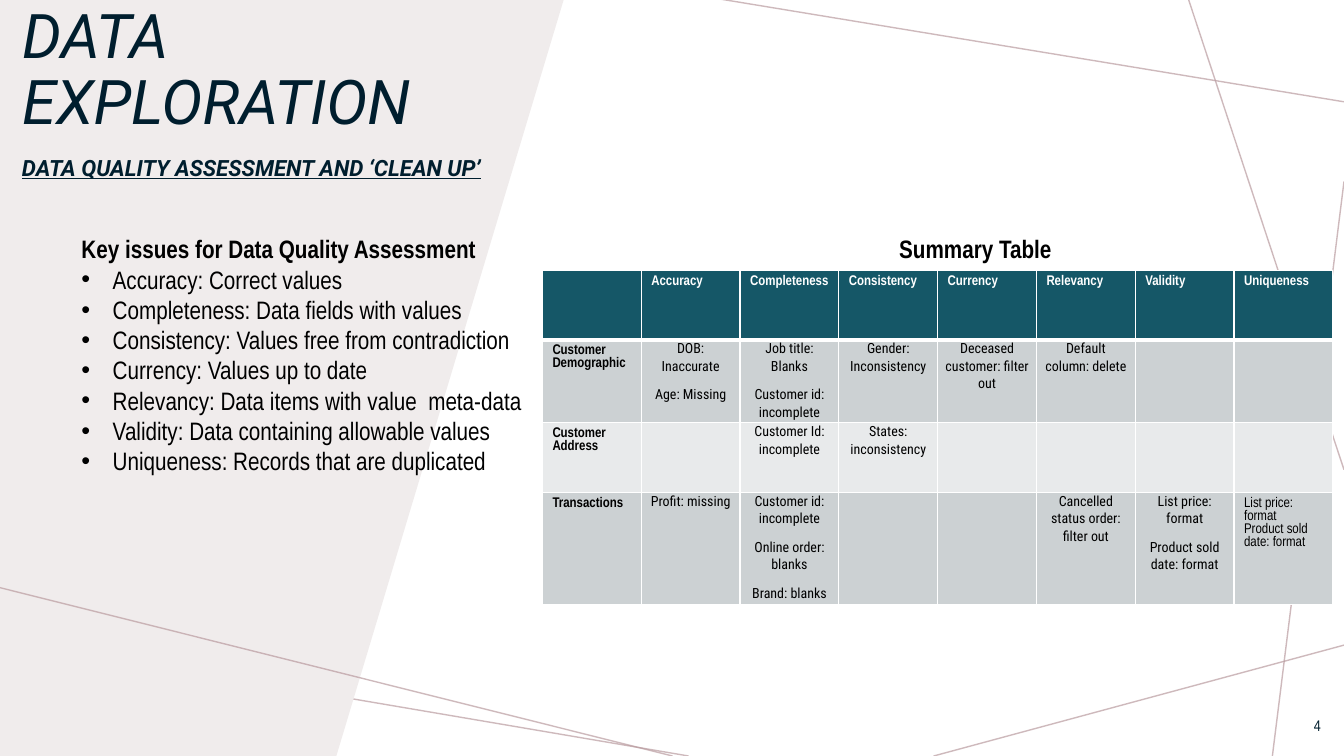
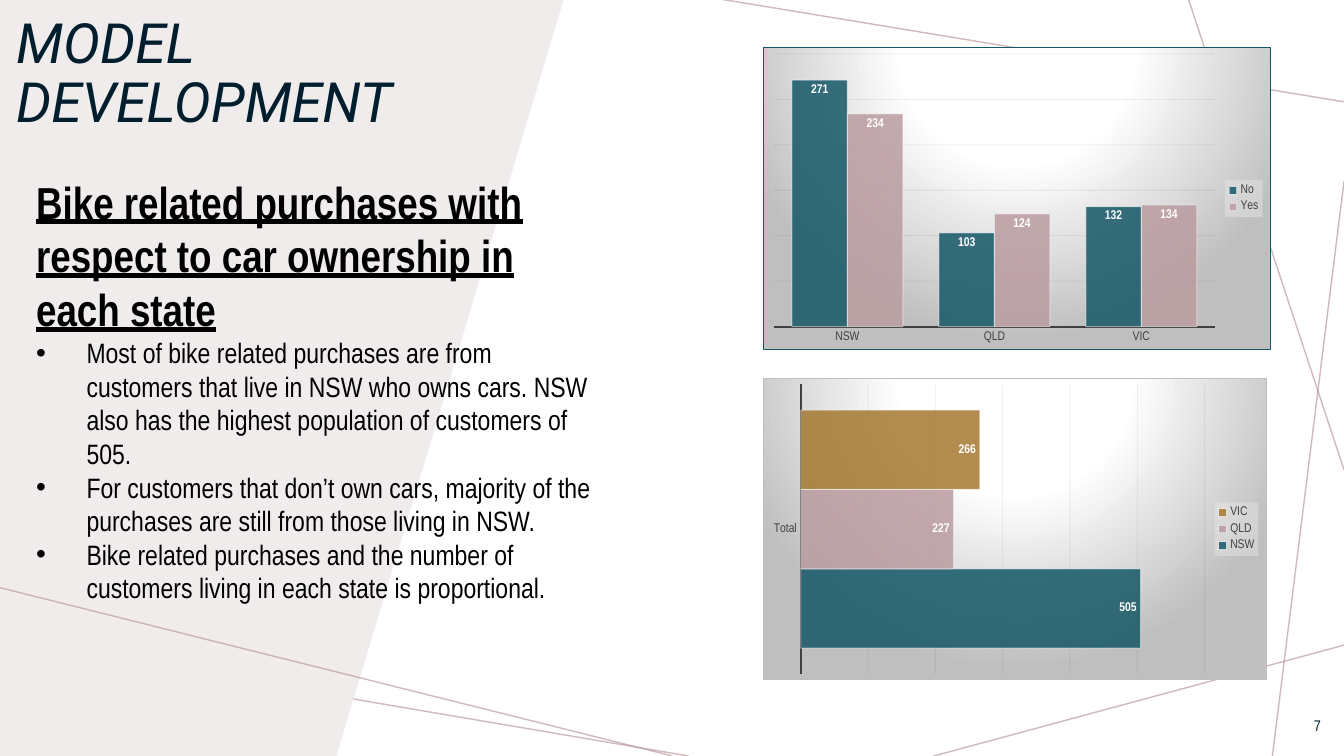
from pptx import Presentation
from pptx import util as u
from pptx.chart import data
from pptx.dml.color import RGBColor
from pptx.enum import chart as ch, shapes, text
from pptx.oxml import ns, parse_xml

INK = {"navy": "001E2E", "teal": "155767", "rose": "BA9CA0", "gold": "A57931",
       "panel": "F0ECEC", "white": "FFFFFF", "black": "000000", "gray": "404040",
       "silver": "BFBFBF", "grid": "0D0D0D", "dark": "CCD1D3", "light": "E8EAEB"}
BODY, HEAD, NOTE = "Arial Narrow", "Roboto", "Roboto Condensed"
RAYS = [(3.41, 0, 0, 0.75), (0.99, 0, 0, 7.16), (6.83, 7.5, -0.05, 6.33),
        (13.33, 6.4, 9.26, 7.5), (13.33, 1.8, 12.62, 7.5),
        (13.33, 4.66, 11.79, 0), (13.33, 1.01, 7.14, -0.01)]
CROSS = (6.67, 7.5, 0, 5.83)
PANEL = [(3.33, 7.52), (0, 7.56), (0, -0.01), (5.59, 0)]


def tint(name):
    return RGBColor.from_string(INK[name])


def xml(body):
    return parse_xml(body.replace(">", " " + ns.nsdecls("a", "c") + ">", 1))


def solid(name, alpha=100):
    return (f'<a:solidFill><a:srgbClr val="{INK[name]}">'
            f'<a:alpha val="{alpha * 1000}"/></a:srgbClr></a:solidFill>')


def fade(root, *alphas):
    tones = list(root.iter(ns.qn("a:srgbClr")))
    for tone, alpha in zip(tones, alphas):
        tone.append(xml(f'<a:alpha val="{alpha * 1000}"></a:alpha>'))


def ink(font, size, color="black", face=BODY, bold=False, slant=False, under=False):
    font.size, font.name = u.Pt(size), face
    font.bold, font.italic, font.underline = bold, slant, under
    font.color.rgb = tint(color)


def stroke(line, color, width):
    line.color.rgb = tint(color)
    line.width = u.Pt(width)


class Deck:
    def __init__(self):
        self.file = Presentation()
        self.file.slide_width, self.file.slide_height = u.Inches(13.33), u.Inches(7.5)
        self.base = self.file.slide_layouts[5]
        self.page = None

    def ray(self, ends):
        line = self.page.shapes.add_connector(
            shapes.MSO_CONNECTOR.STRAIGHT, *map(u.Inches, ends))
        stroke(line.line, "rose", 1)
        fade(line.element, 70)
        line.element.spPr.append(xml("<a:effectLst></a:effectLst>"))
        return line

    def panel(self):
        pen = self.page.shapes.build_freeform(
            u.Inches(PANEL[0][0]), u.Inches(PANEL[0][1]))
        pen.add_line_segments([tuple(map(u.Inches, spot)) for spot in PANEL[1:]])
        form = pen.convert_to_shape()
        form.shadow.inherit = False
        form.fill.solid()
        form.fill.fore_color.rgb = tint("panel")
        form.line.fill.background()
        return form

    def decor(self):
        parts = [self.ray(ends) for ends in RAYS] + [self.panel(), self.ray(CROSS)]
        for part in parts:
            self.base.shapes.element.append(part.element)

    def slide(self, title, box, size, number):
        first = self.page is None
        self.page = self.file.slides.add_slide(self.base)
        if first:
            self.decor()
        head = self.page.shapes.title
        head.left, head.top, head.width, head.height = map(u.Inches, box)
        frame = head.text_frame
        frame.text = title
        frame.auto_size = text.MSO_AUTO_SIZE.NONE
        frame.vertical_anchor = text.MSO_ANCHOR.TOP
        para = frame.paragraphs[0]
        para.alignment, para.line_spacing = text.PP_ALIGN.LEFT, 0.9
        ink(para.runs[0].font, size, "navy", HEAD, slant=True)
        mark = self.text((12.69, 7, 0.51, 0.4), number, size=11, color="navy")
        mark.vertical_anchor = text.MSO_ANCHOR.MIDDLE
        mark.paragraphs[0].alignment = text.PP_ALIGN.RIGHT

    def text(self, box, words, **style):
        frame = self.page.shapes.add_textbox(*map(u.Inches, box)).text_frame
        frame.word_wrap = True
        frame.text = words
        ink(frame.paragraphs[0].runs[0].font, **style)
        return frame

    def points(self, frame, items, size, indent):
        for item in items:
            para = frame.add_paragraph()
            para.text = item
            ink(para.runs[0].font, size)
            props = para._p.get_or_add_pPr()
            props.set("marL", str(u.Inches(indent)))
            props.set("indent", str(-u.Inches(indent)))
            props.append(xml('<a:buFont typeface="Arial"></a:buFont>'))
            props.append(xml('<a:buChar char="•"></a:buChar>'))

    def cell(self, cell, words, fill, label, edge, **style):
        props = cell._tc.get_or_add_tcPr()
        for side, width in zip("LRTB", (1, 1, 1, edge)):
            props.append(xml(f'<a:ln{side} w="{u.Pt(width)}">{solid("white")}</a:ln{side}>'))
        cell.fill.solid()
        cell.fill.fore_color.rgb = tint(fill)
        if not words:
            return
        cell.text = words
        if not label:
            cell.margin_left = cell.margin_right = u.Inches(0.07)
            cell.margin_top = cell.margin_bottom = 0
        for para in cell.text_frame.paragraphs:
            if not label:
                para.alignment, para.space_after = text.PP_ALIGN.CENTER, u.Pt(8)
                para.line_spacing = 1.07
            ink(para.runs[0].font, 10, face=BODY if label else NOTE, **style)

    def table(self, box, rows, highs):
        grid = self.page.shapes.add_table(
            len(rows), len(rows[0]), *map(u.Inches, box)).table
        last = (len(rows) - 1, len(rows[0]) - 1)
        for r, row in enumerate(rows):
            grid.rows[r].height = u.Inches(highs[r])
            fill = "teal" if r == 0 else "dark" if r % 2 else "light"
            for c, words in enumerate(row):
                lead = r == 0 or c == 0
                self.cell(grid.cell(r, c), words, fill, lead or (r, c) == last,
                          1 if r else 3, bold=lead, color="black" if r else "white")

    def chart(self, box, kind, cats, sets, edge):
        feed = data.CategoryChartData()
        feed.categories = cats
        for name, vals, _ in sets:
            feed.add_series(name, vals)
        chart = self.page.shapes.add_chart(kind, *map(u.Inches, box), feed).chart
        chart.has_title = False
        ink(chart.font, 10)
        plot = chart.plots[0]
        plot.gap_width, plot.vary_by_categories = 65, False
        for bars, (_, _, color) in zip(plot.series, sets):
            bars.format.fill.solid()
            bars.format.fill.fore_color.rgb = tint(color)
            stroke(bars.format.line, "white", 0.75)
            fade(bars._element, 85, 50)
            tags = bars.data_labels
            tags.show_value = True
            tags.position = ch.XL_LABEL_POSITION.INSIDE_END
            ink(tags.font, 9, "white", bold=True)
        axis = chart.category_axis
        axis.major_tick_mark = axis.minor_tick_mark = ch.XL_TICK_MARK.NONE
        stroke(axis.format.line, "gray", 1.5)
        ink(axis.tick_labels.font, 9, "gray")
        scale = chart.value_axis
        scale.visible = False
        stroke(scale.major_gridlines.format.line, "grid", 0.75)
        fade(scale._element, 5)
        self.legend(chart)
        self.glow(chart, edge)

    def legend(self, chart):
        chart.has_legend = True
        key = chart.legend
        key.position = ch.XL_LEGEND_POSITION.RIGHT
        key.include_in_layout = False
        ink(key.font, 9, "gray")
        back = xml(f'<c:spPr>{solid("panel", 39)}</c:spPr>')
        key._element.find(ns.qn("c:overlay")).addnext(back)

    def glow(self, chart, edge):
        stops = "".join(
            f'<a:gs pos="{spot * 1000}"><a:srgbClr val="{INK[color]}"/></a:gs>'
            for spot, color in ((0, "white"), (39, "white"), (100, "silver")))
        back = xml(
            f'<c:spPr><a:gradFill><a:gsLst>{stops}</a:gsLst><a:path path="circle">'
            '<a:fillToRect l="50000" t="-80000" r="50000" b="180000"/></a:path>'
            f'</a:gradFill><a:ln w="{u.Pt(0.75)}">{solid(edge)}</a:ln></c:spPr>')
        chart._chartSpace.find(ns.qn("c:chart")).addnext(back)


def explore(deck):
    deck.slide("DATA EXPLORATION", (0.12, 0, 5.09, 1.51), 44, "4")
    sub = deck.text((0.12, 1.51, 6.46, 1.51), "DATA QUALITY ASSESSMENT AND ‘CLEAN UP’",
                    size=16, color="navy", face=HEAD, bold=True, slant=True, under=True)
    sub.paragraphs[0].line_spacing = 0.9
    frame = deck.text((0.71, 2.27, 4.92, 2.52), "Key issues for Data Quality Assessment",
                      size=18, bold=True)
    deck.points(frame, [
        "Accuracy: Correct values",
        "Completeness: Data fields with values",
        "Consistency: Values free from contradiction",
        "Currency: Values up to date",
        "Relevancy: Data items with value  meta-data",
        "Validity: Data containing allowable values",
        "Uniqueness: Records that are duplicated"], 18, 0.31)
    deck.table((5.38, 2.68, 7.84, 3.16), [
        ["", "Accuracy", "Completeness", "Consistency", "Currency", "Relevancy",
         "Validity", "Uniqueness"],
        ["Customer Demographic", "DOB: Inaccurate\nAge: Missing",
         "Job title: Blanks\nCustomer id: incomplete", "Gender: Inconsistency",
         "Deceased customer: filter out", "Default column: delete", "", ""],
        ["Customer Address", "", "Customer Id: incomplete", "States: inconsistency",
         "", "", "", ""],
        ["Transactions", "Profit: missing",
         "Customer id: incomplete\nOnline order: blanks\nBrand: blanks", "", "",
         "Cancelled status order: filter out",
         "List price: format\nProduct sold date: format",
         "List price: format\nProduct sold date: format"],
    ], (0.69, 0.69, 0.69, 1.07))
    deck.text((8.82, 2.27, 2.14, 0.4), "Summary Table", size=18, bold=True)


def model(deck):
    deck.slide("MODEL DEVELOPMENT", (0.06, 0.1, 5.13, 1.28), 39.6, "7")
    frame = deck.text(
        (0.26, 1.68, 5.82, 4.07),
        "Bike related purchases with respect to car ownership in each state",
        size=32, bold=True, under=True)
    deck.points(frame, [
        "Most of bike related purchases are from customers that live in NSW who owns "
        "cars. NSW also has the highest population of customers of 505.",
        "For customers that don’t own cars, majority of the purchases are still from "
        "those living in NSW.",
        "Bike related purchases and the number of customers living in each state is "
        "proportional."], 20, 0.5)
    kinds = ch.XL_CHART_TYPE
    deck.chart((7.57, 0.47, 5.04, 3), kinds.COLUMN_CLUSTERED, ["NSW", "QLD", "VIC"], [
        ("No", (271, 103, 132), "teal"), ("Yes", (234, 124, 134), "rose")], "teal")
    deck.chart((7.57, 3.75, 5, 3), kinds.BAR_CLUSTERED, ["Total"], [
        ("NSW", (505,), "teal"), ("QLD", (227,), "rose"), ("VIC", (266,), "gold")],
        "silver")


def main():
    deck = Deck()
    explore(deck)
    model(deck)
    deck.file.save("out.pptx")


if __name__ == "__main__":
    main()
